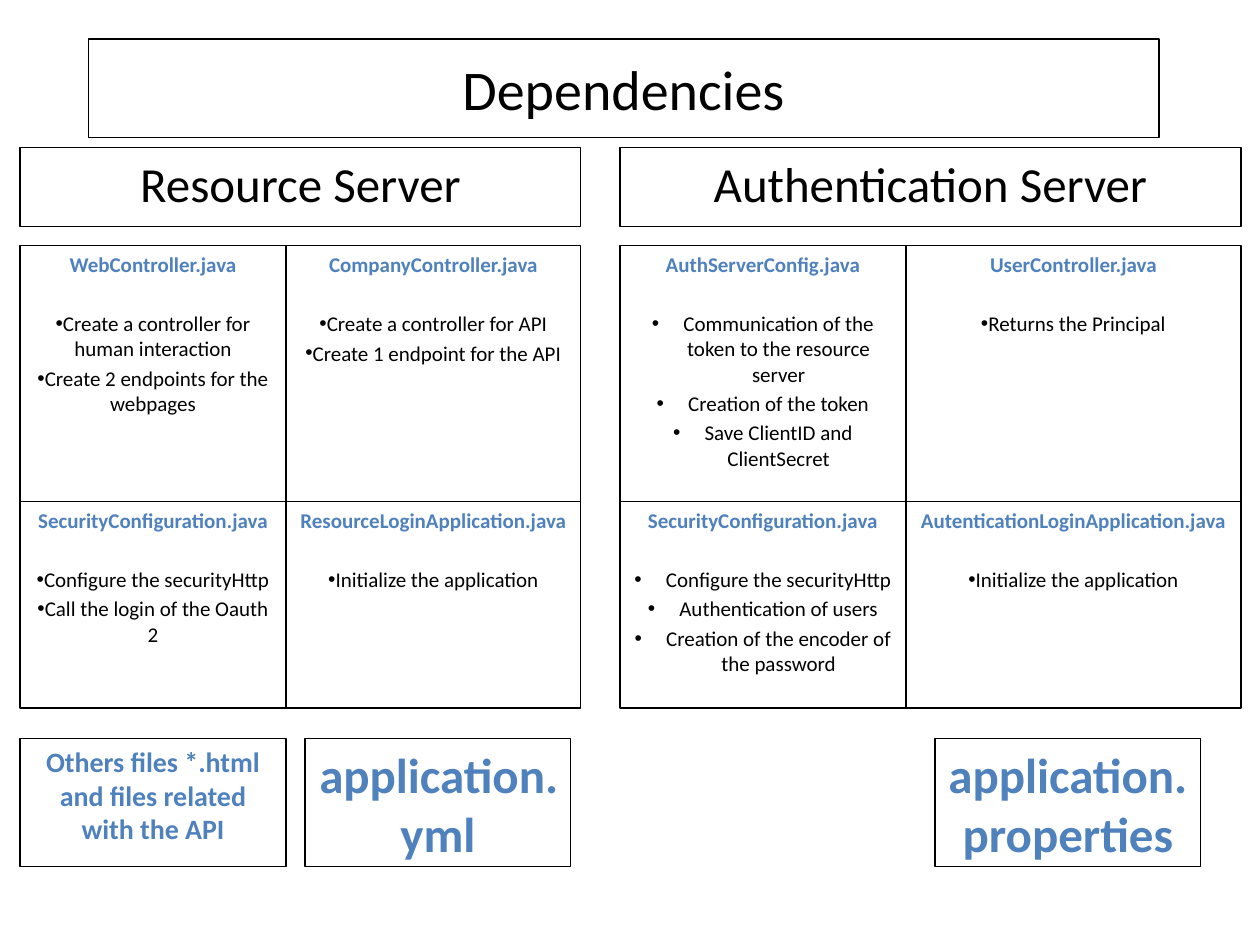
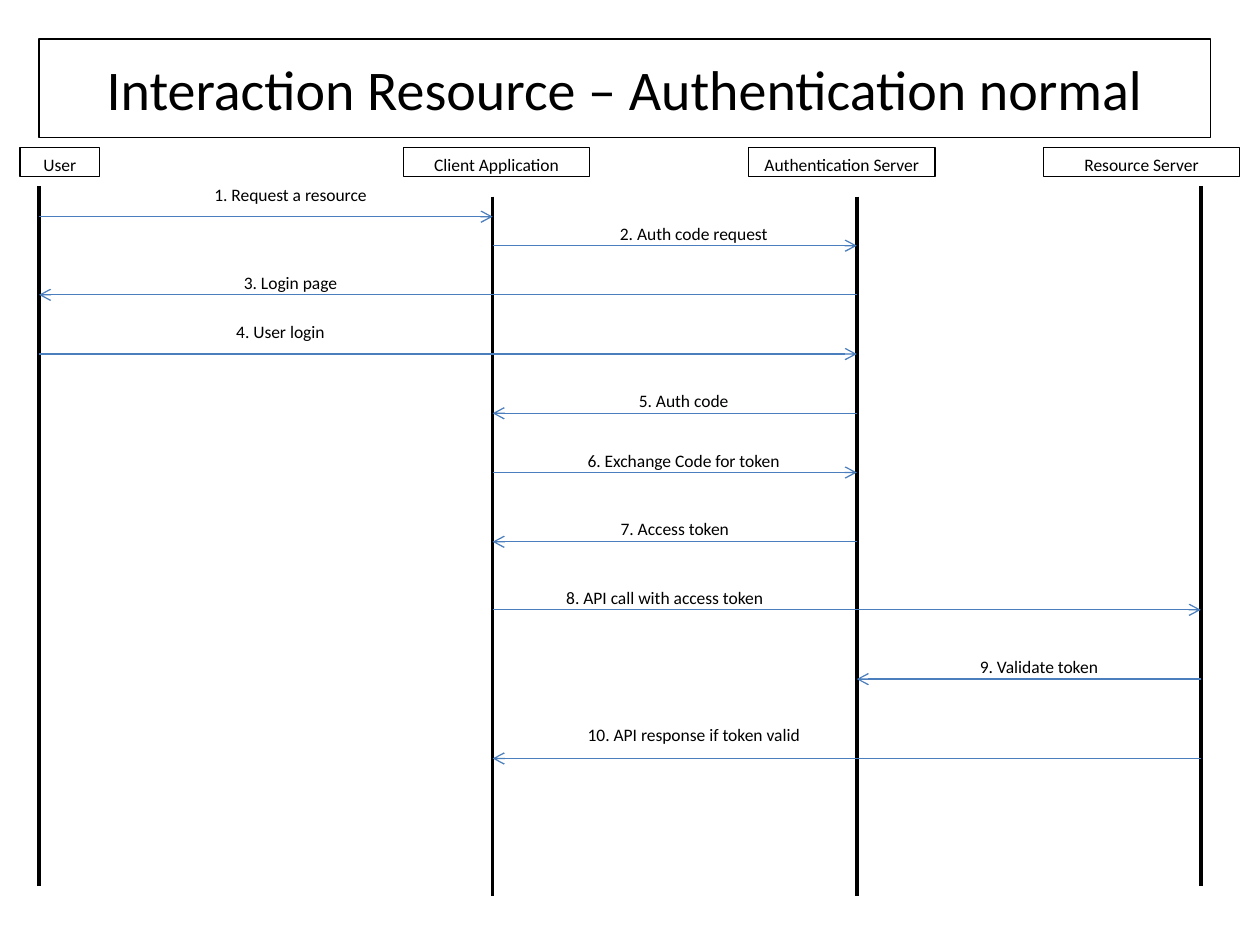
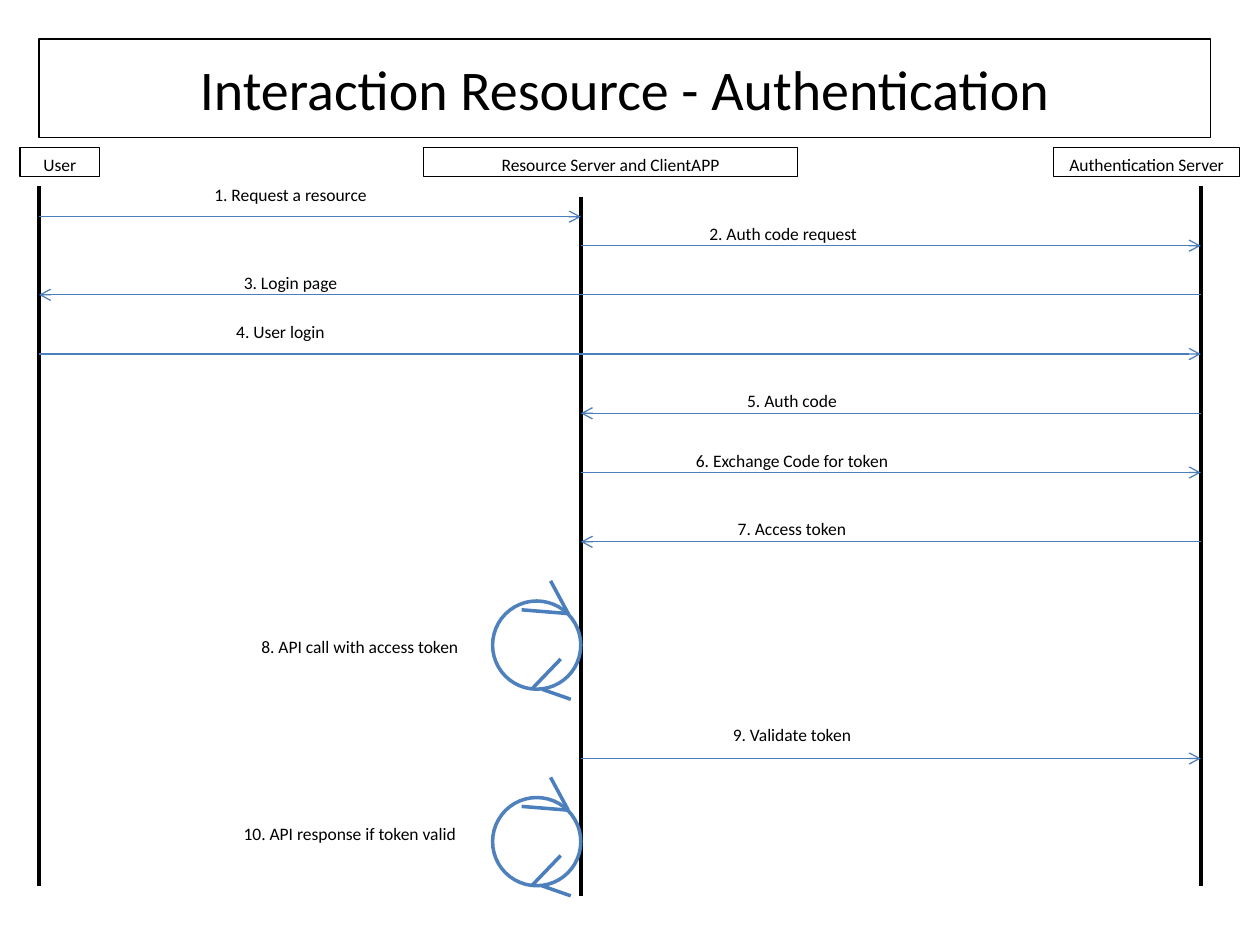
from dataclasses import dataclass

from lxml.etree import SubElement
from pptx import Presentation
from pptx.dml.color import RGBColor
from pptx.enum.shapes import MSO_CONNECTOR as Link, MSO_SHAPE as Form
from pptx.enum.text import MSO_ANCHOR as Anchor, PP_ALIGN as Align
from pptx.oxml.ns import qn
from pptx.util import Inches, Pt

BLACK = RGBColor(0x00, 0x00, 0x00)
WHITE = RGBColor(0xFF, 0xFF, 0xFF)
BLUE = RGBColor(0x4F, 0x81, 0xBD)
ARROW = RGBColor(0x4B, 0x7E, 0xBC)

BODY = {"name": "Calibri", "bold": False, "color": BLACK}
HEAD = {"name": "Calibri", "bold": True, "color": BLUE}
THIN, THICK = 0.75, 2
BAR_TOP, BAR_H = 1.17, 0.23
NOTE_W = 2.11


@dataclass
class Box:
    """A place on the slide, in inches."""
    left: float
    top: float
    width: float
    height: float

    def frame(self) -> list:
        """Return the place as lengths."""
        return [Inches(v) for v in (self.left, self.top, self.width, self.height)]


@dataclass
class Card:
    """A source file and what it does."""
    name: str
    tasks: list[str]
    indent: float = 0


@dataclass
class Panel:
    """A server heading above a grid of cards."""
    title: str
    left: float
    widths: list[float]
    rows: list[list[Card]]


@dataclass
class Role:
    """A party with its header box and lifeline."""
    name: str
    left: float
    width: float
    line: float
    top: float


@dataclass
class Step:
    """A message: label place, and arrow ends as role numbers."""
    text: str
    left: float
    top: float
    start: int = 0
    end: int = 0
    y: float = 0


def style(run, size: float, look: dict) -> None:
    """Give a run its font values."""
    for key, value in {**look, "size": Pt(size)}.items():
        if key == "color":
            run.font.color.rgb = value
        else:
            setattr(run.font, key, value)


def write(para, text: str, size: float, look: dict) -> None:
    """Fill a centred paragraph."""
    para.alignment = Align.CENTER
    run = para.add_run()
    run.text = text
    style(run, size, look)


def bullet(para, indent: float) -> None:
    """Put a hanging bullet on a paragraph."""
    props = para._p.get_or_add_pPr()
    props.set("marL", str(Inches(indent)))
    props.set("indent", str(-Inches(indent)))
    SubElement(props, qn("a:buFont")).set("typeface", "Arial")
    SubElement(props, qn("a:buChar")).set("char", "•")


def add_box(slide, box: Box, text: str, size: float, look: dict = BODY,
            anchor=Anchor.TOP):
    """Draw an outlined box with centred text and return its text frame."""
    shape = slide.shapes.add_shape(Form.RECTANGLE, *box.frame())
    shape.shadow.inherit = False
    shape.fill.background()
    shape.line.color.rgb = BLACK
    shape.line.width = Pt(THIN)
    frame = shape.text_frame
    frame.word_wrap = True
    frame.vertical_anchor = anchor
    write(frame.paragraphs[0], text, size, look)
    return frame


def add_title(slide, text: str, left: float, width: float) -> None:
    """Draw the slide title."""
    add_box(slide, Box(left, 0.31, width, 0.78), text, 32, anchor=Anchor.MIDDLE)


def add_card(slide, box: Box, card: Card) -> None:
    """Draw a file card with its bulleted tasks."""
    frame = add_box(slide, box, card.name, 12, HEAD)
    for i, task in enumerate(card.tasks):
        para = frame.add_paragraph()
        write(para, task, 12, BODY)
        para.space_before = Pt(2.4 if i else 19.2)
        bullet(para, card.indent)


def add_panel(slide, panel: Panel) -> None:
    """Draw a server heading and its card grid."""
    add_box(slide, Box(panel.left, BAR_TOP, sum(panel.widths), 0.63), panel.title, 28)
    top = 1.95
    for row, height in zip(panel.rows, (2.03, 1.64)):
        left = panel.left
        for card, width in zip(row, panel.widths):
            add_card(slide, Box(left, top, width, height), card)
            left += width
        top += height


def add_line(slide, x1: float, y1: float, x2: float, y2: float,
             color: RGBColor, width: float, arrow: bool = False) -> None:
    """Draw a straight line, with an open arrowhead if asked."""
    ends = [Inches(v) for v in (x1, y1, x2, y2)]
    line = slide.shapes.add_connector(Link.STRAIGHT, *ends)
    line.line.color.rgb = color
    line.line.width = Pt(width)
    if arrow:
        SubElement(line.line._get_or_add_ln(), qn("a:tailEnd")).set("type", "arrow")
    SubElement(line._element.spPr, qn("a:effectLst"))


def add_note(slide, step: Step) -> None:
    """Write a message label."""
    box = Box(step.left, step.top, NOTE_W, BAR_H)
    frame = slide.shapes.add_textbox(*box.frame()).text_frame
    frame.word_wrap = True
    write(frame.paragraphs[0], step.text, 10, BODY)


def add_loop(slide, left: float, top: float) -> None:
    """Draw a self call: a ring with two arrowheads."""
    ring = slide.shapes.add_shape(Form.OVAL, *Box(left, top, 0.7, 0.7).frame())
    ring.shadow.inherit = False
    ring.fill.solid()
    ring.fill.fore_color.rgb = WHITE
    ring.line.color.rgb = BLUE
    ring.line.width = Pt(THICK)
    for x1, y1, x2, y2 in ((0.46, -0.16, 0.6, 0.1), (0.23, 0.07, 0.6, 0.1),
                           (0.39, 0.7, 0.62, 0.78), (0.31, 0.7, 0.54, 0.46)):
        add_line(slide, left + x1, top + y1, left + x2, top + y2, ARROW, THICK)


def add_flow(slide, title: str, roles: list[Role], steps: list[Step],
             loops: tuple = ()) -> None:
    """Draw a sequence chart."""
    add_title(slide, title, 0.31, 9.3)
    for role in roles:
        add_box(slide, Box(role.left, BAR_TOP, role.width, BAR_H), role.name, 10)
        add_line(slide, role.line, role.top, role.line, role.top + 5.55, BLACK, THICK)
    for step in steps:
        add_note(slide, step)
        if step.y:
            add_line(slide, roles[step.start].line, step.y,
                     roles[step.end].line, step.y, ARROW, THIN, True)
    for left, top in loops:
        add_loop(slide, left, top)


def login(ask: float, code: float, token: float) -> list[Step]:
    """Return the seven login steps; label places vary by chart."""
    return [
        Step("1. Request a resource", 1.25, 1.41, 0, 1, 1.72),
        Step("2. Auth code request", ask, 1.72, 1, 2, 1.95),
        Step("3. Login page", 1.25, 2.11, 2, 0, 2.34),
        Step("4. User login", 1.17, 2.5, 0, 2, 2.81),
        Step("5. Auth code", code, 3.05, 2, 1, 3.28),
        Step("6. Exchange Code for token", code, 3.52, 1, 2, 3.75),
        Step("7. Access token", token, 4.06, 2, 1, 4.3),
    ]


API_CALL = "8. API call with access token"
CHECK = "9. Validate token"
REPLY = "10. API response if token valid"
START = Card("", ["Initialize the application"]).tasks
USER = Role("User", 0.16, 0.63, 0.31, 1.48)

PANELS = [
    Panel("Resource Server", 0.16, [2.11, 2.34], [
        [Card("WebController.java", ["Create a controller for human interaction",
                                     "Create 2 endpoints for the webpages"]),
         Card("CompanyController.java", ["Create a controller for API",
                                         "Create 1 endpoint for the API"])],
        [Card("SecurityConfiguration.java", ["Configure the securityHttp",
                                             "Call the login of the Oauth 2"]),
         Card("ResourceLoginApplication.java", START)],
    ]),
    Panel("Authentication Server", 4.92, [2.27, 2.66], [
        [Card("AuthServerConfig.java",
              ["Communication of the token to the resource server",
               "Creation of the token", "Save ClientID and ClientSecret"], 0.25),
         Card("UserController.java", ["Returns the Principal"])],
        [Card("SecurityConfiguration.java",
              ["Configure the securityHttp", "Authentication of users",
               "Creation of the encoder of the password"], 0.25),
         Card("AutenticationLoginApplication.java", START)],
    ]),
]
FILES = [
    (0.16, "Others files *.html and files related with the API", 16),
    (2.42, "application.yml", 28),
    (7.42, "application.properties", 28),
]

deck = Presentation()
deck.slide_width, deck.slide_height = Inches(10), Inches(7.5)
files, normal, merged = [deck.slides.add_slide(deck.slide_layouts[6]) for _ in range(3)]

add_title(files, "Dependencies", 0.7, 8.5)
for panel in PANELS:
    add_panel(files, panel)
for left, name, size in FILES:
    add_box(files, Box(left, 5.86, 2.11, 1.02), name, size, HEAD)

add_flow(normal, "Interaction Resource – Authentication normal", [
    USER,
    Role("Client Application", 3.2, 1.48, 3.91, 1.56),
    Role("Authentication Server", 5.94, 1.48, 6.8, 1.56),
    Role("Resource Server", 8.28, 1.56, 9.53, 1.48),
], login(4.45, 4.37, 4.3) + [
    Step(API_CALL, 4.22, 4.61, 1, 3, 4.84),
    Step(CHECK, 7.19, 5.16, 3, 2, 5.39),
    Step(REPLY, 4.45, 5.7, 3, 1, 6.02),
])

add_flow(merged, "Interaction Resource - Authentication", [
    USER,
    Role("Resource Server and ClientAPP", 3.36, 2.97, 4.61, 1.56),
    Role("Authentication Server", 8.36, 1.48, 9.53, 1.48),
], login(5.16, 5.23, 5.23) + [
    Step(API_CALL, 1.8, 5),
    Step(CHECK, 5.23, 5.7, 1, 2, 6.02),
    Step(REPLY, 1.72, 6.48),
], ((3.91, 4.77), (3.91, 6.33)))

deck.save("out.pptx")
